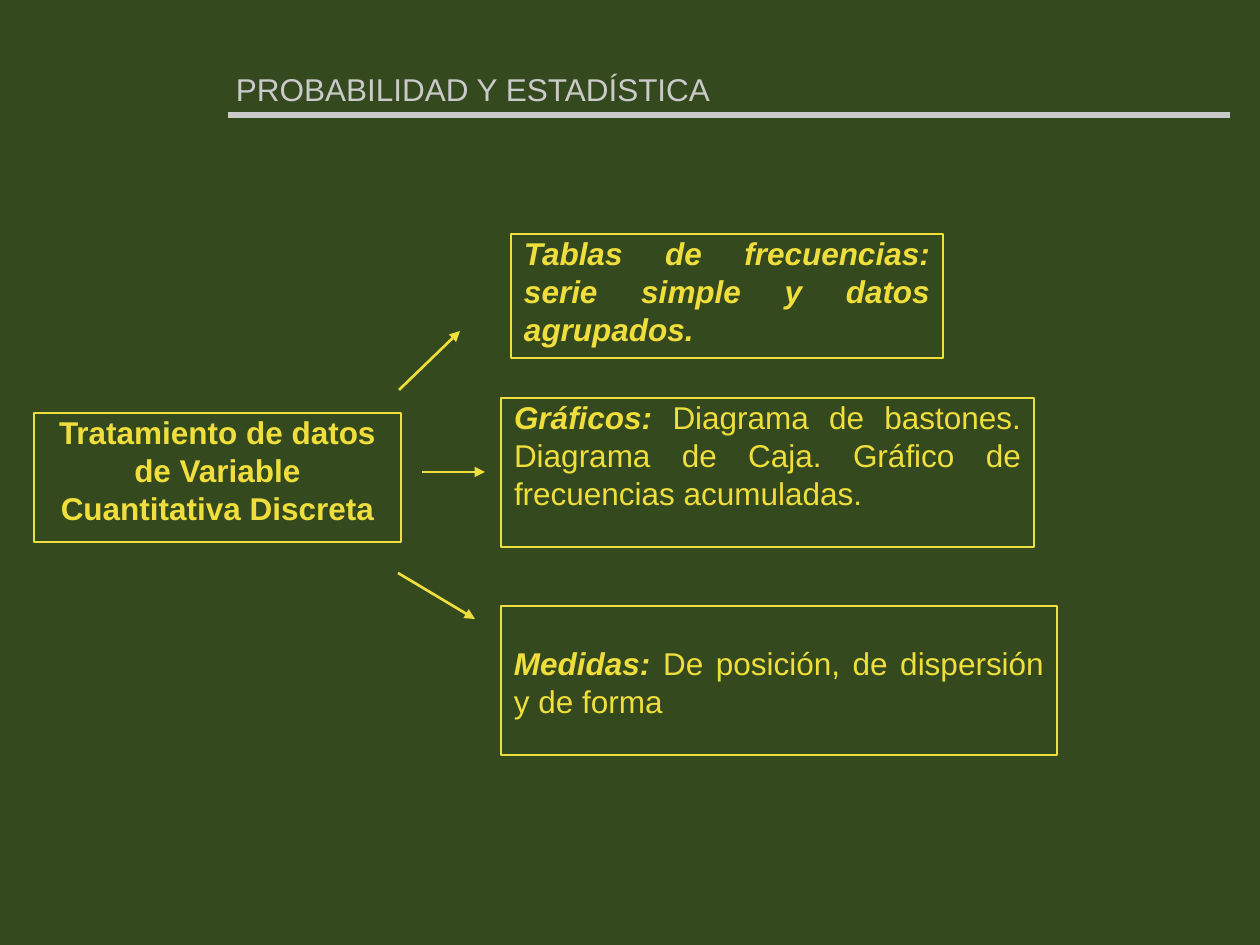
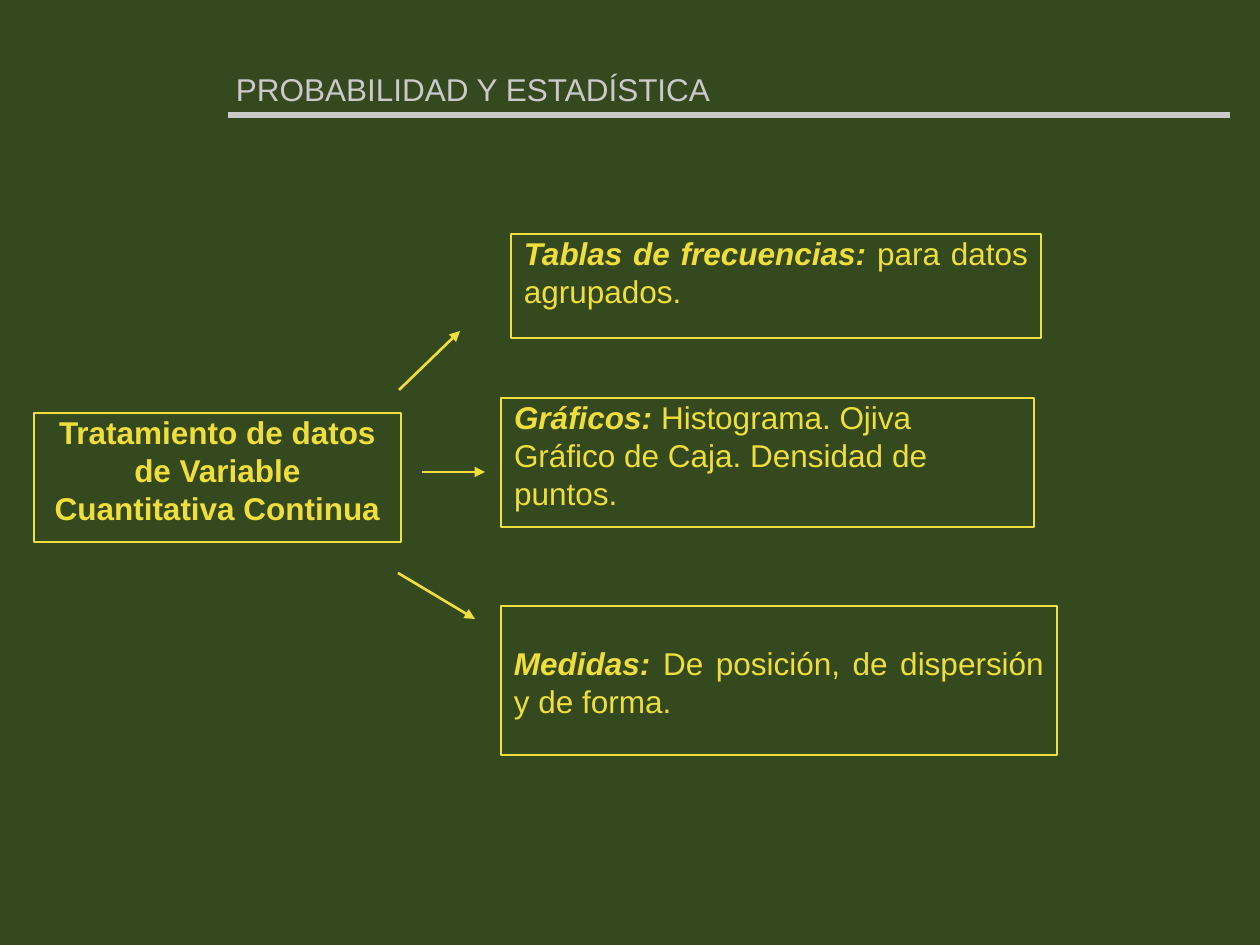
import pptx
import pptx.util
from pptx.dml.color import RGBColor
from pptx.enum.shapes import MSO_CONNECTOR, MSO_SHAPE
from pptx.enum.text import MSO_ANCHOR, PP_ALIGN
from pptx.oxml.ns import qn
from lxml import etree

# Content: each paragraph is (bold italic lead, plain rest)
COURSE = "PROBABILIDAD Y ESTADÍSTICA"
TOPICS = [
    {
        "variable": "Tratamiento de datos de Variable Cuantitativa Discreta",
        "tables": [("Tablas de frecuencias: serie simple y datos agrupados.", "")],
        "tables_size": (432, 124),
        "charts": [("Gráficos: ", "Diagrama de bastones. Diagrama de Caja. "
                    "Gráfico de frecuencias acumuladas.")],
        "charts_size": (533, 149),
        "measures": [("Medidas: ", "De posición, de dispersión y de forma")],
    },
    {
        "variable": "Tratamiento de datos de Variable Cuantitativa Continua",
        "tables": [("Tablas de frecuencias: ", "para datos agrupados.")],
        "tables_size": (530, 104),
        "charts": [("Gráficos: ", "Histograma. Ojiva"),
                   ("", "Gráfico de Caja. Densidad de puntos.")],
        "charts_size": (533, 129),
        "measures": [("Medidas: ", "De posición, de dispersión y de forma.")],
    },
]

# Shared look, lengths in px at 126 to the inch
GREEN, YELLOW, GREY = "35491F", "EFDE3B", "CACACA"
FONT, TEXT_SIZE, LINE_PITCH = "Arial", 18, 21.7
LINE_HEIGHT = 38
SIDE_INSET = 13
TITLE_BOX = (223, 11, 973, 101)
TITLE_RULE = (228, 115, 1230, 115)
VARIABLE_BOX = (34, 413, 367, 129)
TABLES_AT, CHARTS_AT = (511, 234), (501, 398)
MEASURES_BOX = (501, 606, 556, 149)
ARROWS = [(399, 390, 460, 331), (398, 573, 475, 619), (422, 472, 485, 472)]


def px(length):
    return pptx.util.Emu(round(length * 914400 / 126))


def color(hex_code):
    return RGBColor.from_string(hex_code)


def set_font(paragraph, hex_code):
    font = paragraph.font
    font.name, font.size = FONT, pptx.util.Pt(TEXT_SIZE)
    font.color.rgb = color(hex_code)


def set_insets(frame, top, bottom):
    frame.word_wrap = True
    frame.margin_left = frame.margin_right = px(SIDE_INSET)
    frame.margin_top, frame.margin_bottom = px(top), px(bottom)


def add_line(slide, ends, hex_code, width, arrow=False):
    line = slide.shapes.add_connector(MSO_CONNECTOR.STRAIGHT, *map(px, ends))
    line.line.color.rgb = color(hex_code)
    line.line.width = pptx.util.Pt(width)
    if arrow:
        etree.SubElement(line.line._get_or_add_ln(), qn("a:tailEnd"), type="triangle")
    etree.SubElement(line._element.spPr, qn("a:effectLst"))


def add_header(slide):
    title = slide.shapes.add_textbox(*map(px, TITLE_BOX)).text_frame
    set_insets(title, 6, 4)
    title.vertical_anchor = MSO_ANCHOR.BOTTOM
    title.text = COURSE
    set_font(title.paragraphs[0], GREY)
    add_line(slide, TITLE_RULE, GREY, 3)


def add_box(slide, bounds, top_inset=0):
    """Draw an outlined box and return its text frame."""
    box = slide.shapes.add_shape(MSO_SHAPE.RECTANGLE, *map(px, bounds))
    box.shadow.inherit = False
    box.fill.background()
    box.line.color.rgb = color(YELLOW)
    box.line.width = pptx.util.Pt(1)
    frame = box.text_frame
    set_insets(frame, top_inset, 0)
    frame.vertical_anchor = MSO_ANCHOR.TOP
    return frame


def style_paragraph(paragraph, alignment):
    paragraph.alignment = alignment
    paragraph.line_spacing = pptx.util.Pt(LINE_PITCH)
    set_font(paragraph, YELLOW)


def add_branch(slide, bounds, paragraphs, top_inset=0):
    frame = add_box(slide, bounds, top_inset)
    for index, (lead, rest) in enumerate(paragraphs):
        paragraph = frame.add_paragraph() if index else frame.paragraphs[0]
        style_paragraph(paragraph, PP_ALIGN.JUSTIFY if lead else PP_ALIGN.LEFT)
        if lead:
            lead_run = paragraph.add_run()
            lead_run.text = lead
            lead_run.font.bold = lead_run.font.italic = True
        if rest:
            paragraph.add_run().text = rest


def add_topic(deck, topic):
    slide = deck.slides.add_slide(deck.slide_layouts[6])
    slide.background.fill.solid()
    slide.background.fill.fore_color.rgb = color(GREEN)
    add_header(slide)

    # Variable on the left
    variable = add_box(slide, VARIABLE_BOX)
    variable.text = topic["variable"]
    style_paragraph(variable.paragraphs[0], PP_ALIGN.CENTER)
    variable.paragraphs[0].font.bold = True

    # Its three treatments on the right; measures start one line down
    add_branch(slide, TABLES_AT + topic["tables_size"], topic["tables"])
    add_branch(slide, CHARTS_AT + topic["charts_size"], topic["charts"])
    add_branch(slide, MEASURES_BOX, topic["measures"], LINE_HEIGHT)

    for ends in ARROWS:
        add_line(slide, ends, YELLOW, 1.5, arrow=True)


def main():
    deck = pptx.Presentation()
    deck.slide_width, deck.slide_height = px(1260), px(945)
    for topic in TOPICS:
        add_topic(deck, topic)
    deck.save("out.pptx")


if __name__ == "__main__":
    main()
